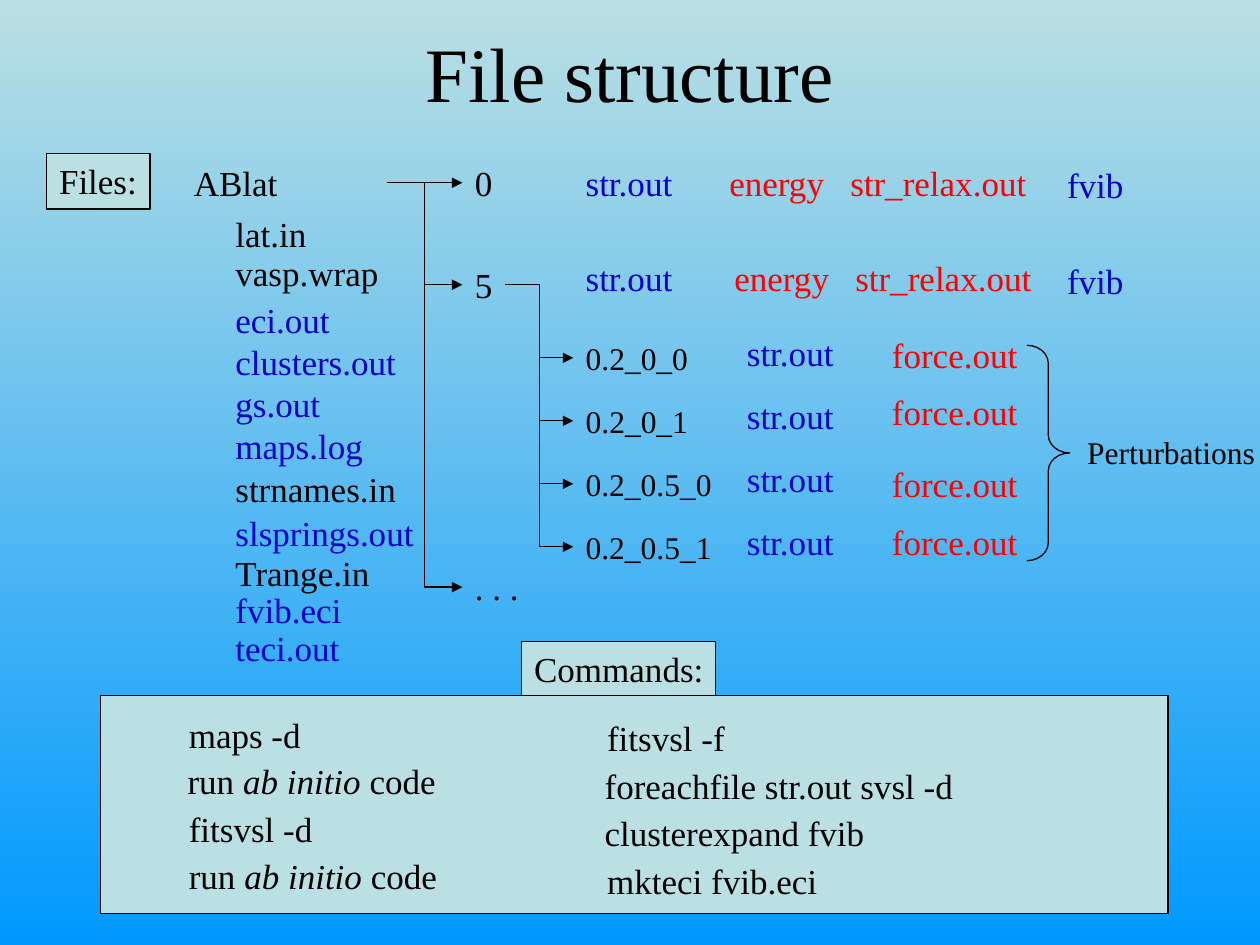
"""Build the File structure slide: directory tree, output files and commands."""
from lxml import etree
from pptx import Presentation
from pptx import util as u
from pptx.dml import color
from pptx.enum import shapes, text
from pptx.oxml import ns

BLACK, BLUE, RED, PALE = "000000", "0000CC", "FF0000", "BBE0E3"
rgb = color.RGBColor.from_string


def write(sp, lines, size=20, ink=BLACK):
    tf = sp.text_frame
    frame = {"word_wrap": False, "auto_size": text.MSO_AUTO_SIZE.SHAPE_TO_FIT_TEXT,
             "vertical_anchor": text.MSO_ANCHOR.TOP, "margin_right": u.Inches(0.05)}
    for key, value in frame.items():
        setattr(tf, key, value)
    for i, line in enumerate(lines):
        p = tf.paragraphs[0] if i == 0 else tf.add_paragraph()
        p.alignment = text.PP_ALIGN.LEFT
        if "\t" in line:
            tabs = etree.SubElement(p._p.get_or_add_pPr(), ns.qn("a:tabLst"))
            etree.SubElement(tabs, ns.qn("a:tab"), pos=str(u.Inches(0.96)), algn="l")
        for j, part in enumerate(line.split("*")):
            r = p.add_run()
            r.text = part
            fmt = {"name": "Times New Roman", "size": u.Pt(size), "italic": j == 1}
            for key, value in fmt.items():
                setattr(r.font, key, value)
            r.font.color.rgb = rgb(ink)


def outline(sp, fill=None):
    sp.shadow.inherit = False
    if fill:
        sp.fill.solid()
        sp.fill.fore_color.rgb = rgb(fill)
    else:
        sp.fill.background()
    sp.line.color.rgb = rgb(BLACK)
    sp.line.width = u.Pt(0.75)


prs = Presentation()
prs.slide_width, prs.slide_height = u.Inches(10), u.Inches(7.5)
s = prs.slides.add_slide(prs.slide_layouts[5])
bg = s.background.fill
bg.gradient()
bg.gradient_angle = 270
for stop, position, shade in zip(bg.gradient_stops, (0, 1), (PALE, "0099FF")):
    stop.position = position
    stop.color.rgb = rgb(shade)

title = s.shapes.title
place = {"left": 0.5, "top": 0.13, "width": 9, "height": 0.88}
for key, value in place.items():
    setattr(title, key, u.Inches(value))
tf = title.text_frame
tf.text = "File structure"
tf.vertical_anchor = text.MSO_ANCHOR.MIDDLE
p = tf.paragraphs[0]
p.alignment = text.PP_ALIGN.CENTER
for key, value in {"name": "Times New Roman", "size": u.Pt(44)}.items():
    setattr(p.font, key, value)
p.font.color.rgb = rgb(BLACK)

boxes = [(4.14, 5.09, 1.54, 0.44, "Commands:"), (0.8, 5.52, 8.47, 1.73, ""),
         (0.37, 1.22, 0.82, 0.44, "Files:")]
for x, y, w, h, label in boxes:
    sp = s.shapes.add_shape(shapes.MSO_SHAPE.RECTANGLE, *map(u.Inches, (x, y, w, h)))
    outline(sp, PALE)
    if label:
        write(sp, [label])

labels = [
    (1.44, 1.23, 1.63, "ABlat", BLACK),
    (3.67, 1.23, 0.34, "0", BLACK),
    (3.67, 2.04, 0.34, "5", BLACK),
    (3.67, 4.44, 0.55, ". . .", BLACK),
    (1.77, 1.64, 0.76, "lat.in", BLACK),
    (1.77, 1.95, 1.33, "vasp.wrap", BLACK),
    (1.77, 2.32, 1.47, "eci.out\nclusters.out\ngs.out\nmaps.log", BLUE),
    (1.77, 3.66, 1.47, "strnames.in", BLACK),
    (1.77, 4.01, 1.61, "slsprings.out", BLUE),
    (1.77, 4.33, 1.27, "Trange.in", BLACK),
    (1.77, 4.62, 1.04, "fvib.eci", BLUE),
    (1.77, 4.92, 1.02, "teci.out", BLUE),
    (1.4, 5.61, 1.09, "maps -d", BLACK),
    (1.39, 5.98, 2.17, "run *ab initio* code", BLACK),
    (1.4, 6.36, 1.18, "fitsvsl -d", BLACK),
    (1.4, 6.73, 2.17, "run *ab initio* code", BLACK),
    (4.72, 5.64, 1.13, "fitsvsl -f", BLACK),
    (4.7, 6.02, 2.98, "foreachfile str.out svsl -d", BLACK),
    (4.7, 6.39, 2.26, "clusterexpand fvib", BLACK),
    (4.72, 6.77, 1.87, "mkteci fvib.eci", BLACK),
]
for y, energy_x in ((1.23, 5.69), (1.99, 5.73)):
    labels += [(4.55, y, 0.9, "str.out", BLUE),
               (energy_x, y, 2.56, "energy\tstr_relax.out", RED),
               (8.37, y + 0.02, 0.65, "fvib", BLUE)]
for i, force_y in enumerate((2.6, 3.05, 3.62, 4.08)):
    labels += [(5.83, 2.58 + 0.5 * i, 0.9, "str.out", BLUE),
               (6.98, force_y, 1.19, "force.out", RED)]
for x, y, w, label, ink in labels:
    lines = label.split("\n")
    h = 0.1 + 0.335 * len(lines)
    write(s.shapes.add_textbox(*map(u.Inches, (x, y, w, h))), lines, ink=ink)

small = [(8.53, 3.39, 1.53, "Perturbations")]
for i, (name, w) in enumerate((("0.2_0_0", 1.01), ("0.2_0_1", 1.01),
                               ("0.2_0.5_0", 1.2), ("0.2_0.5_1", 1.2))):
    small.append((4.55, 2.64 + 0.5 * i, w, name))
for x, y, w, label in small:
    write(s.shapes.add_textbox(*map(u.Inches, (x, y, w, 0.4))), [label], size=18)

branches = [(3.07, 1.45, 3.67, (1.45, 2.26, 4.66)),
            (4.01, 2.26, 4.55, (2.84, 3.34, 3.84, 4.34))]
for x1, y1, x2, ends in branches:
    for y2 in ends:
        kind = shapes.MSO_CONNECTOR.STRAIGHT if y1 == y2 else shapes.MSO_CONNECTOR.ELBOW
        cn = s.shapes.add_connector(kind, *map(u.Inches, (x1, y1, x2, y2)))
        cn.line.color.rgb = rgb(BLACK)
        cn.line.width = u.Pt(0.75)
        etree.SubElement(cn.line._get_or_add_ln(), ns.qn("a:tailEnd"), type="triangle")
        etree.SubElement(cn._element.spPr, ns.qn("a:effectLst"))

brace = s.shapes.add_shape(shapes.MSO_SHAPE.RIGHT_BRACE,
                           *map(u.Inches, (8.15, 2.74, 0.34, 1.71)))
brace.adjustments[0] = 0.42
outline(brace)

prs.save("out.pptx")
